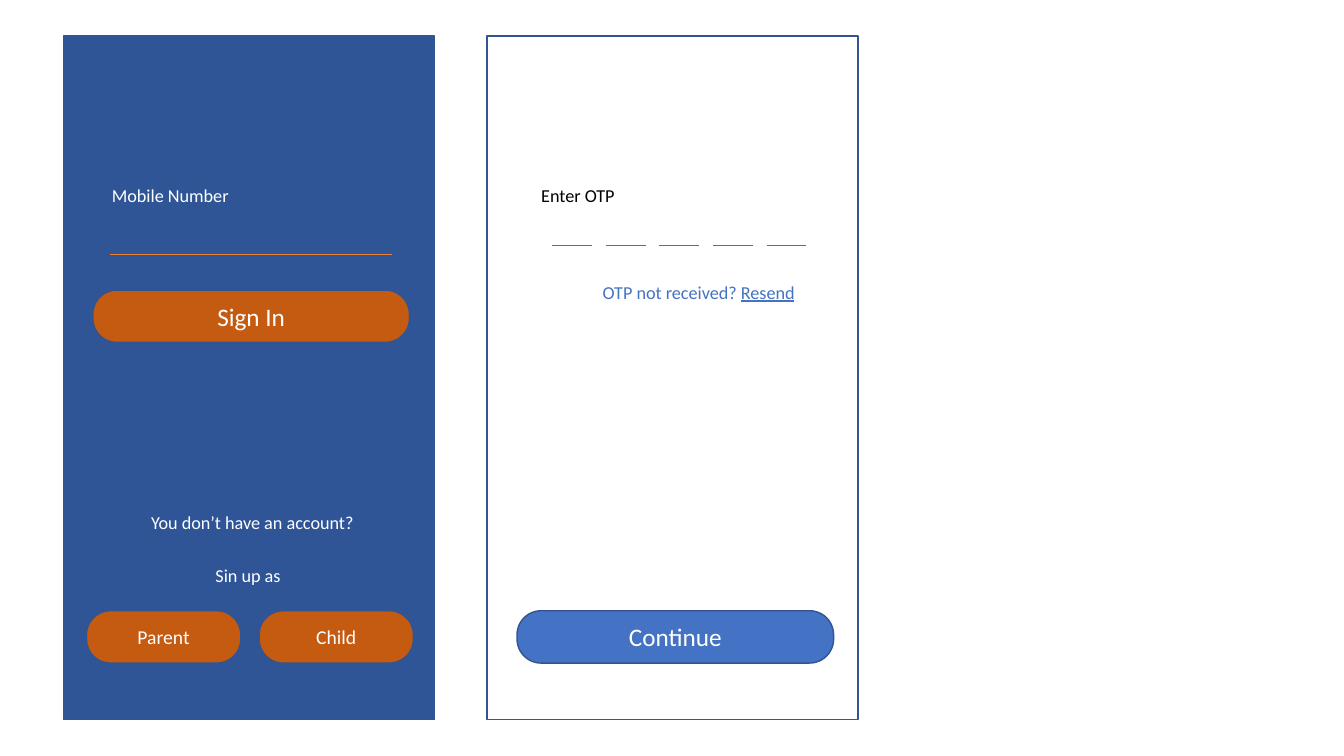
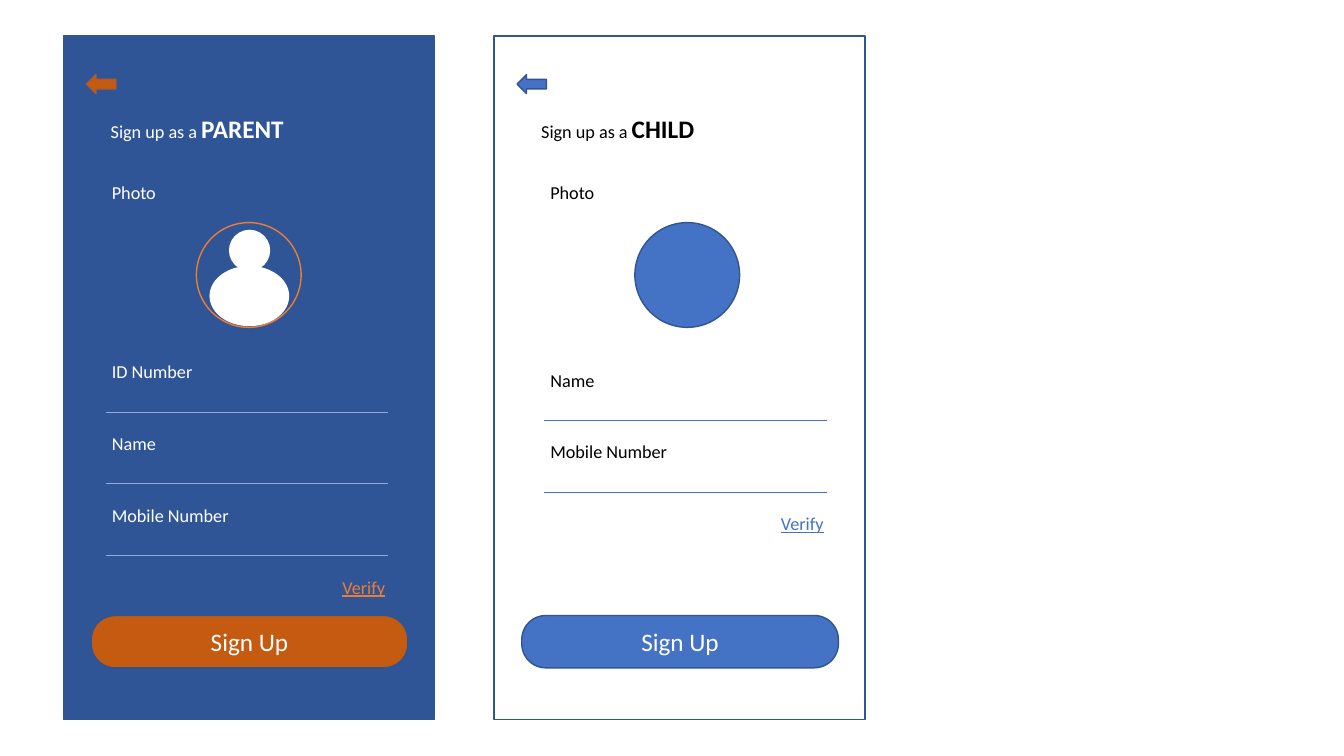
"""Build the sign-in and sign-up screens of a mobile app."""
from dataclasses import dataclass

from lxml import etree
from pptx import Presentation
from pptx.dml.color import RGBColor
from pptx.enum.shapes import MSO_CONNECTOR, MSO_SHAPE
from pptx.enum.text import MSO_ANCHOR, MSO_AUTO_SIZE, PP_ALIGN
from pptx.oxml.ns import qn
from pptx.util import Cm, Pt

RECT = MSO_SHAPE.RECTANGLE
ROUND = MSO_SHAPE.ROUNDED_RECTANGLE
OVAL = MSO_SHAPE.OVAL
LEFT_ARROW = MSO_SHAPE.LEFT_ARROW
STRAIGHT = MSO_CONNECTOR.STRAIGHT
MIDDLE = MSO_ANCHOR.MIDDLE
GROW = MSO_AUTO_SIZE.SHAPE_TO_FIT_TEXT
LEFT, CENTER = PP_ALIGN.LEFT, PP_ALIGN.CENTER


@dataclass(frozen=True)
class Theme:
    """Colours, type sizes and repeated lengths in cm."""
    font: str = "Calibri"
    white: str = "FFFFFF"
    black: str = "000000"
    navy: str = "2F5597"
    edge: str = "325491"
    blue: str = "4472C4"
    pale: str = "8FAADC"
    rust: str = "C55A11"
    rust_edge: str = "AF5C24"
    orange: str = "ED7D31"
    body: float = 13
    choice: float = 14
    big: float = 18
    border: float = 1
    rule: float = 0.5
    top: float = 0.91
    panel_w: float = 9.35
    panel_h: float = 17.22
    button_w: float = 7.98
    button_h: float = 1.32
    field_w: float = 7.11
    field_step: float = 1.81
    photo: float = 2.64


@dataclass(frozen=True)
class Skin:
    """Colours of one kind of screen."""
    panel: str | None
    text: str
    button: str
    arrow_edge: str
    accent: str
    field: str
    photo: str | None
    photo_edge: str


T = Theme()
DARK = Skin(T.navy, T.white, T.rust, T.rust_edge, T.orange, T.pale, None, T.orange)
LIGHT = Skin(None, T.black, T.blue, T.edge, T.blue, T.blue, T.blue, T.edge)


@dataclass(frozen=True)
class Run:
    """A piece of text with its look."""
    text: str
    color: str
    size: float = T.body
    bold: bool = False
    underline: bool = False


def add_runs(tf, runs, align):
    """Fill the first paragraph of a text frame run by run."""
    tf.word_wrap = True
    p = tf.paragraphs[0]
    p.alignment = align
    for run in runs:
        r = p.add_run()
        r.text = run.text
        r.font.name = T.font
        r.font.size = Pt(run.size)
        r.font.color.rgb = RGBColor.from_string(run.color)
        if run.bold:
            r.font.bold = True
        if run.underline:
            r.font.underline = True


class Screen:
    """A phone screen whose parts are placed from its top left corner."""

    def __init__(self, s, left, skin):
        """Draw the panel of the screen."""
        self.shapes, self.left, self.skin = s.shapes, left, skin
        self.shape(RECT, 0, 0, T.panel_w, T.panel_h, skin.panel, T.edge)

    def box(self, x, y, w, h):
        """Turn a box on the screen into slide lengths."""
        return Cm(self.left + x), Cm(T.top + y), Cm(w), Cm(h)

    def shape(self, kind, x, y, w, h, fill, edge=None):
        """Add a preset shape."""
        sp = self.shapes.add_shape(kind, *self.box(x, y, w, h))
        sp.shadow.inherit = False
        if fill:
            sp.fill.solid()
            sp.fill.fore_color.rgb = RGBColor.from_string(fill)
        else:
            sp.fill.background()
        if edge:
            sp.line.color.rgb = RGBColor.from_string(edge)
            sp.line.width = Pt(T.border)
        else:
            sp.line.fill.background()
        return sp

    def button(self, text, x, y, w=T.button_w, size=T.big):
        """Add a rounded button."""
        sp = self.shape(ROUND, x, y, w, T.button_h, self.skin.button, T.edge)
        sp.adjustments[0] = 0.46
        sp.text_frame.vertical_anchor = MIDDLE
        add_runs(sp.text_frame, [Run(text, T.white, size)], CENTER)

    def runs(self, runs, x, y, w, h=0.81, align=LEFT):
        """Add a text box made of several runs."""
        tf = self.shapes.add_textbox(*self.box(x, y, w, h)).text_frame
        add_runs(tf, runs, align)
        tf.auto_size = GROW

    def label(self, text, x, y, w=4.17, align=LEFT):
        """Add a plain label."""
        self.runs([Run(text, self.skin.text)], x, y, w, align=align)

    def rule(self, x, y, w, color):
        """Add a thin horizontal line to write on."""
        left, top, width, _ = self.box(x, y, w, 0)
        c = self.shapes.add_connector(STRAIGHT, left, top, left + width, top)
        c.line.color.rgb = RGBColor.from_string(color)
        c.line.width = Pt(T.rule)
        etree.SubElement(c._element.spPr, qn("a:effectLst"))


def sign_in_screen(s, left):
    """Draw the screen that asks for a mobile number."""
    screen = Screen(s, left, DARK)
    screen.label("Mobile Number", 0.97, 3.61)
    screen.rule(1.17, 5.49, T.field_w, DARK.accent)
    screen.button("Sign In", 0.74, 6.4)
    screen.label("You don’t have an account?", 1.96, 11.86, 5.84)
    screen.label("Sin up as", 1.96, 13.18, 5.38, CENTER)
    for i, role in enumerate(("Parent", "Child")):
        screen.button(role, 0.58 + 4.35 * i, 14.48, 3.89, T.choice)


def otp_screen(s, left, digits=5):
    """Draw the screen that asks for the one-time password."""
    screen = Screen(s, left, LIGHT)
    screen.label("Enter OTP", 1.12, 3.61)
    for i in range(digits):
        screen.rule(1.65 + 1.35 * i, 5.28, 1, LIGHT.accent)
    screen.runs([Run("OTP not received? ", LIGHT.accent),
                 Run("Resend", LIGHT.accent, underline=True)], 2.67, 6.05, 6.07)
    screen.button("Continue", 0.76, 14.48)


def avatar(screen, x, y):
    """Draw a head and shoulders in the photo circle."""
    screen.shape(OVAL, x + 0.82, y + 0.18, 1.04, 1.04, T.white)
    screen.shape(OVAL, x + 0.33, y + 1.09, 2.01, 1.52, T.white)


def sign_up_screen(s, left, skin, role, fields, first_y, inset=0, person=False):
    """Draw a sign-up form with a photo and a column of fields."""
    screen = Screen(s, left, skin)
    screen.shape(LEFT_ARROW, 0.58, 0.97, 0.74, 0.48, skin.button, skin.arrow_edge)
    screen.runs([Run("Sign up as a ", skin.text),
                 Run(role, skin.text, T.big, bold=True)], 0.94, 1.83, 7.24, 1.02)
    screen.label("Photo", 0.97 + inset, 3.53)
    photo_x, photo_y = 3.35 + inset, 4.7
    screen.shape(OVAL, photo_x, photo_y, T.photo, T.photo, skin.photo, skin.photo_edge)
    if person:
        avatar(screen, photo_x, photo_y)
    for i, field in enumerate(fields):
        y = first_y + T.field_step * i
        screen.label(field, 0.97 + inset, y)
        screen.rule(1.07 + inset, y + 1.42, T.field_w, skin.field)
    screen.runs([Run("Verify", skin.accent, underline=True)],
                6.78 + inset, first_y + T.field_step * len(fields), 1.83)
    screen.button("Sign Up", 0.7, 14.6)


def main():
    """Build and save the presentation."""
    prs = Presentation()
    prs.slide_width, prs.slide_height = Cm(33.87), Cm(19.05)
    blank = prs.slide_layouts[6]

    s = prs.slides.add_slide(blank)
    sign_in_screen(s, 1.6)
    otp_screen(s, 12.27)

    s = prs.slides.add_slide(blank)
    sign_up_screen(s, 1.6, DARK, "PARENT", ("ID Number", "Name", "Mobile Number"),
                   8.05, person=True)
    sign_up_screen(s, 12.45, LIGHT, "CHILD", ("Name", "Mobile Number"),
                   8.26, inset=0.2)

    prs.save("out.pptx")


if __name__ == "__main__":
    main()
